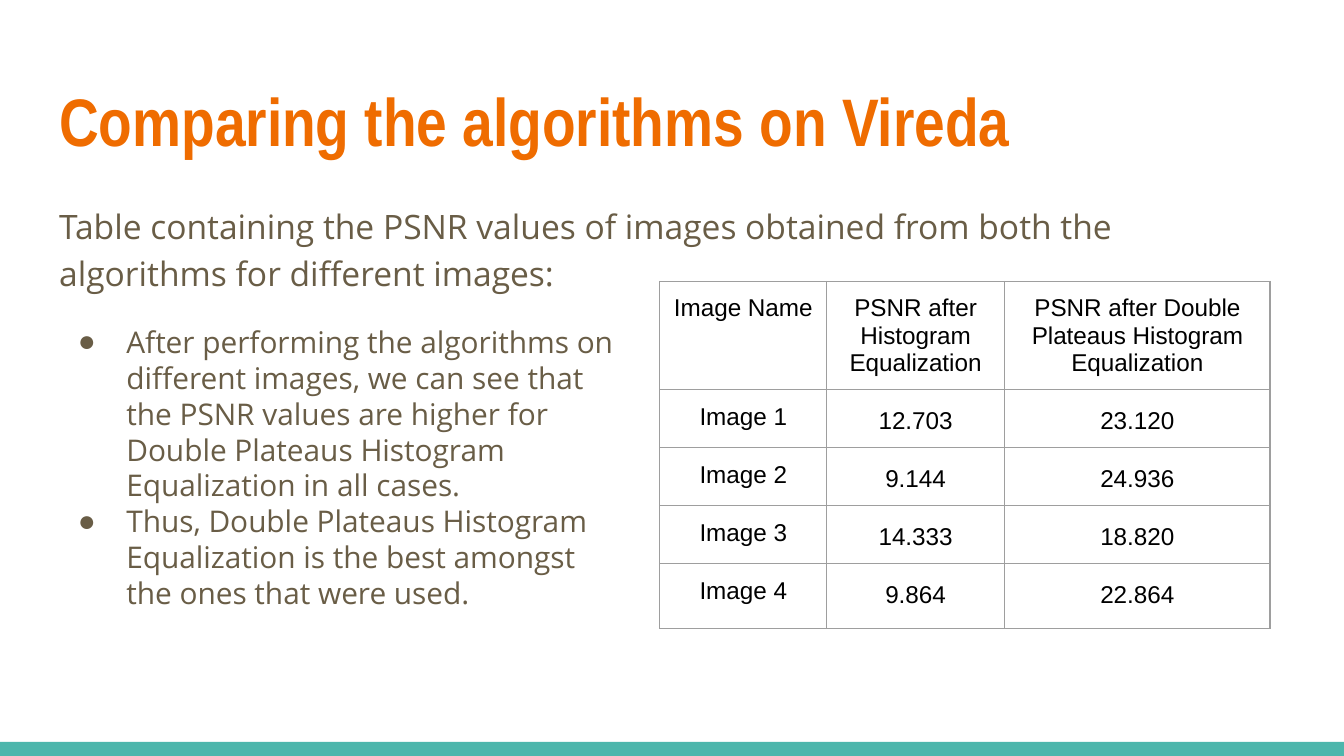
from dataclasses import dataclass

from lxml.etree import SubElement
from pptx import Presentation
from pptx.dml.color import RGBColor
from pptx.enum.shapes import MSO_SHAPE
from pptx.enum.text import MSO_ANCHOR, MSO_AUTO_SIZE, PP_ALIGN
from pptx.oxml.ns import qn
from pptx.util import Emu, Pt

PX = 4572
COLORS = {
    "accent": "EF6C00",
    "bar": "4DB6AC",
    "body": "695D46",
    "table": "000000",
    "border": "9E9E9E",
}


@dataclass(frozen=True)
class Box:
    left: int
    top: int
    width: int
    height: int

    def emu(self) -> tuple[Emu, ...]:
        return tuple(map(px, (self.left, self.top, self.width, self.height)))


@dataclass(frozen=True)
class TextStyle:
    font: str
    size: int
    color: str
    bold: bool = False
    align: PP_ALIGN = PP_ALIGN.LEFT
    spacing: float = 1.0
    bullet: str = ""


@dataclass(frozen=True)
class TextBlock:
    box: Box
    lines: tuple[str, ...]
    style: TextStyle


@dataclass(frozen=True)
class ImageResult:
    name: str
    histogram: str
    plateaus: str


TITLE = TextStyle("Arial Narrow", 36, "accent", bold=True)
INTRO = TextStyle("Open Sans", 18, "body", spacing=1.15)
BULLETS = TextStyle("Open Sans", 16, "body", bullet="●")
LABEL = TextStyle("Arial", 13, "table", align=PP_ALIGN.CENTER)
VALUE = TextStyle("Arial", 13, "table", align=PP_ALIGN.CENTER, spacing=1.15)

BLOCKS = (
    TextBlock(Box(68, 98, 1864, 154), ("Comparing the algorithms on Vireda",), TITLE),
    TextBlock(
        Box(68, 278, 1864, 722),
        ("Table containing the PSNR values of images obtained from both the "
         "algorithms for different images:",),
        INTRO,
    ),
    TextBlock(
        Box(68, 462, 866, 486),
        ("After performing the algorithms on different images, we can see that "
         "the PSNR values are higher for Double Plateaus Histogram Equalization "
         "in all cases.",
         "Thus, Double Plateaus Histogram Equalization is the best amongst the "
         "ones that were used."),
        BULLETS,
    ),
)

HEADER = ImageResult(
    "Image Name",
    "PSNR after Histogram Equalization",
    "PSNR after Double Plateaus Histogram Equalization",
)
RESULTS = (
    ImageResult("Image 1", "12.703", "23.120"),
    ImageResult("Image 2", "9.144", "24.936"),
    ImageResult("Image 3", "14.333", "18.820"),
    ImageResult("Image 4", "9.864", "22.864"),
)
TABLE_LEFT, TABLE_TOP = 982, 419
COLUMN_WIDTHS = (248, 265, 395)
ROW_HEIGHTS = (146, 76, 80, 76, 96)


def px(value: int) -> Emu:
    return Emu(value * PX)


def rgb(name: str) -> RGBColor:
    return RGBColor.from_string(COLORS[name])


def set_bullet(p, style: TextStyle) -> None:
    pPr = p._p.get_or_add_pPr()
    pPr.set("marL", str(px(100 if style.bullet else 0)))
    pPr.set("indent", str(px(-72 if style.bullet else 0)))
    if not style.bullet:
        SubElement(pPr, qn("a:buNone"))
        return
    clr = SubElement(pPr, qn("a:buClr"))
    SubElement(clr, qn("a:srgbClr"), val=COLORS[style.color])
    SubElement(pPr, qn("a:buFont"), typeface="Arial")
    SubElement(pPr, qn("a:buChar"), char=style.bullet)


def write_text(tf, lines: tuple[str, ...], style: TextStyle) -> None:
    tf.text = "\n".join(lines)
    for p in tf.paragraphs:
        p.alignment = style.align
        p.line_spacing = style.spacing
        p.space_before = p.space_after = Pt(0)
        set_bullet(p, style)
        for r in p.runs:
            r.font.name = style.font
            r.font.size = Pt(style.size)
            r.font.bold = style.bold
            r.font.color.rgb = rgb(style.color)


def fill_placeholder(sp, block: TextBlock) -> None:
    sp.left, sp.top, sp.width, sp.height = block.box.emu()
    tf = sp.text_frame
    tf.word_wrap = True
    tf.auto_size = MSO_AUTO_SIZE.NONE
    tf.vertical_anchor = MSO_ANCHOR.TOP
    tf.margin_left = tf.margin_right = tf.margin_top = tf.margin_bottom = px(20)
    write_text(tf, block.lines, block.style)


def draw_bar(s, box: Box) -> None:
    bar = s.shapes.add_shape(MSO_SHAPE.RECTANGLE, *box.emu())
    bar.shadow.inherit = False
    bar.fill.solid()
    bar.fill.fore_color.rgb = rgb("bar")
    bar.line.fill.background()


def format_cell(cell, text: str, style: TextStyle) -> None:
    cell.margin_left = cell.margin_right = px(20)
    cell.margin_top = cell.margin_bottom = px(20)
    cell.vertical_anchor = MSO_ANCHOR.TOP
    write_text(cell.text_frame, (text,), style)
    tcPr = cell._tc.get_or_add_tcPr()
    for side in ("a:lnL", "a:lnR", "a:lnT", "a:lnB"):
        ln = SubElement(tcPr, qn(side), w=str(Pt(0.75)))
        fill = SubElement(ln, qn("a:solidFill"))
        SubElement(fill, qn("a:srgbClr"), val=COLORS["border"])
    cell.fill.background()


def draw_results(s) -> None:
    rows = (HEADER, *RESULTS)
    box = Box(TABLE_LEFT, TABLE_TOP, sum(COLUMN_WIDTHS), sum(ROW_HEIGHTS))
    table = s.shapes.add_table(len(rows), len(COLUMN_WIDTHS), *box.emu()).table
    table.first_row = table.horz_banding = False
    for column, width in zip(table.columns, COLUMN_WIDTHS):
        column.width = px(width)
    for row, height, result in zip(table.rows, ROW_HEIGHTS, rows):
        row.height = px(height)
        value_style = LABEL if result is HEADER else VALUE
        name, histogram, plateaus = row.cells
        format_cell(name, result.name, LABEL)
        format_cell(histogram, result.histogram, value_style)
        format_cell(plateaus, result.plateaus, value_style)


def main() -> None:
    prs = Presentation()
    prs.slide_width, prs.slide_height = px(2000), px(1125)
    s = prs.slides.add_slide(prs.slide_layouts.get_by_name("Two Content"))
    draw_bar(s, Box(0, 1104, 2000, 21))
    for sp, block in zip(s.placeholders, BLOCKS):
        fill_placeholder(sp, block)
    draw_results(s)
    prs.save("out.pptx")


if __name__ == "__main__":
    main()
